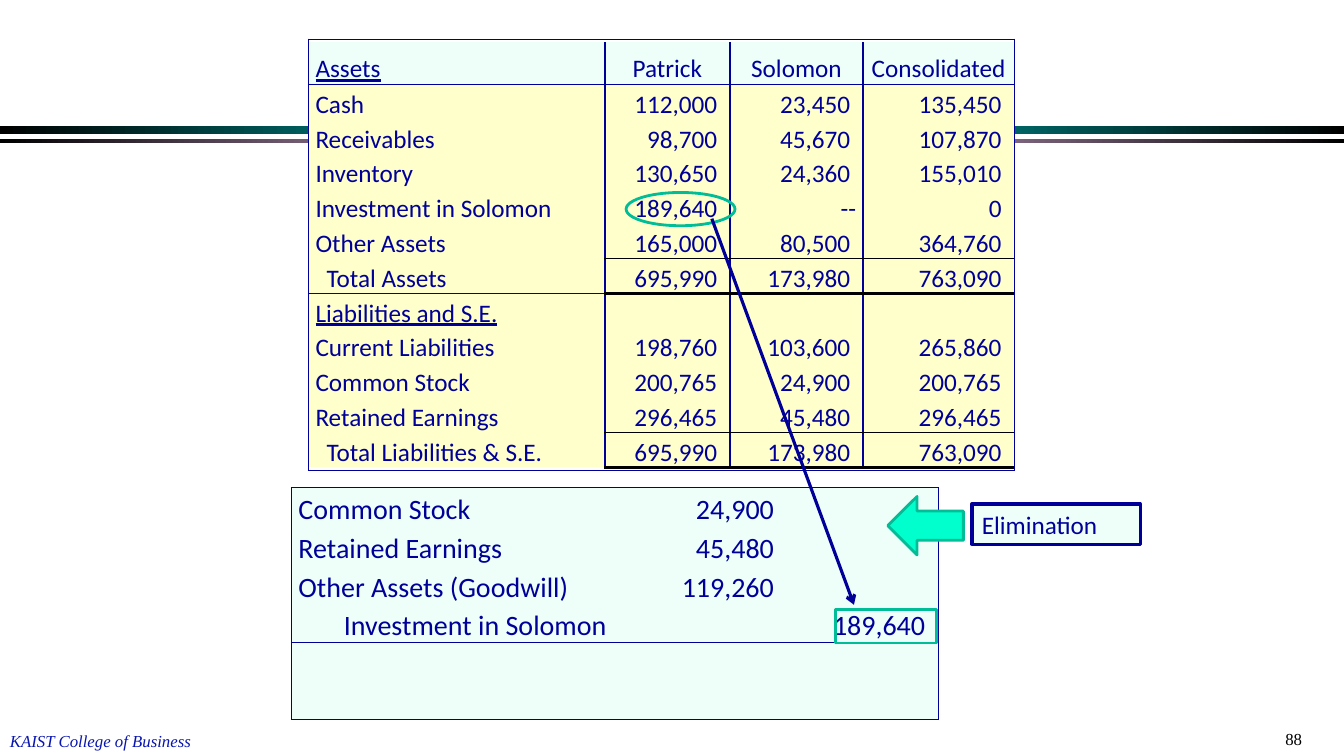
"""Build the slide with the consolidated balance sheet and its elimination entry."""
import copy
from dataclasses import dataclass

import lxml.etree
import pptx
import pptx.dml.color
import pptx.enum.shapes
import pptx.enum.text
import pptx.oxml.ns
import pptx.util

Inches = pptx.util.Inches
Pt = pptx.util.Pt
RGBColor = pptx.dml.color.RGBColor
Align = pptx.enum.text.PP_ALIGN
Shape = pptx.enum.shapes.MSO_SHAPE
qn = pptx.oxml.ns.qn


@dataclass(frozen=True)
class Theme:
    navy: str = "000099"
    black: str = "000000"
    mint: str = "EEFFF9"
    cream: str = "FFFFCC"
    aqua: str = "00FFCC"
    green: str = "00BD97"
    teal: str = "00CCCC"
    pink: str = "FFCCFF"
    footer: str = "0915AF"
    body: str = "Calibri"
    serif: str = "Times New Roman"
    small: int = 12
    medium: int = 18
    large: int = 20


theme = Theme()
NO_STYLE = "{2D5ABB26-0587-4C30-8999-92F81FD0307C}"
THIN = (theme.navy, 1)


def style_text(paragraph, size, color, font):
    for run in paragraph.runs:
        run.font.size = Pt(size)
        run.font.name = font
        run.font.color.rgb = RGBColor.from_string(color)


def add_ledger(box, widths, heights, rows, size, fills, indents, column_edges, rules):
    frame = slide.shapes.add_table(len(rows), len(widths), *map(Inches, box))
    table = frame.table
    table.first_row = table.horz_banding = False
    table._tbl.tblPr.find(qn("a:tableStyleId")).text = NO_STYLE
    for column, width in zip(table.columns, widths):
        column.width = Inches(width)
    for r, (row, values) in enumerate(zip(table.rows, rows)):
        row.height = Inches(heights[r])
        for c, value in enumerate(values):
            cell = table.cell(r, c)
            if fills[r]:
                cell.fill.solid()
                cell.fill.fore_color.rgb = RGBColor.from_string(fills[r])
            else:
                cell.fill.background()
            cell.vertical_anchor = pptx.enum.text.MSO_ANCHOR.BOTTOM
            cell.margin_top = cell.margin_bottom = 0
            cell.margin_left = Inches(0.07 + (indents.get(r, 0) if c == 0 else 0))
            cell.margin_right = Inches(0.07)
            paragraph = cell.text_frame.paragraphs[0]
            paragraph.text = f"{value:,} " if isinstance(value, int) else value
            paragraph.line_spacing = 1.15
            if c:
                paragraph.alignment = Align.RIGHT
            style_text(paragraph, size, theme.navy, theme.body)
            borders = {
                "L": THIN if c in column_edges else None,
                "R": THIN if c + 1 in column_edges else None,
                "T": rules.get((r, c)),
                "B": rules.get((r + 1, c)),
            }
            properties = cell._tc.tcPr
            for side, border in borders.items():
                line = lxml.etree.Element(qn(f"a:ln{side}"))
                if border:
                    line.set("w", str(Pt(border[1])))
                    solid = lxml.etree.SubElement(line, qn("a:solidFill"))
                    lxml.etree.SubElement(solid, qn("a:srgbClr"), val=border[0])
                else:
                    lxml.etree.SubElement(line, qn("a:noFill"))
                properties.insert(len(properties) - 1, line)
    return table


presentation = pptx.Presentation()
presentation.slide_width = Inches(13.33)
presentation.slide_height = Inches(7.5)
slide = presentation.slides.add_slide(presentation.slide_layouts[6])

for top, height, middle_color in ((1.25, 0.08, theme.teal), (1.38, 0.04, theme.pink)):
    band = slide.shapes.add_shape(
        Shape.RECTANGLE, 0, Inches(top), presentation.slide_width, Inches(height))
    band.shadow.inherit = False
    band.line.fill.background()
    band.fill.gradient()
    band.fill.gradient_angle = 0
    stop_list = band._element.spPr.find(".//" + qn("a:gsLst"))
    stop_list.insert(1, copy.deepcopy(stop_list[0]))
    colors = (theme.black, middle_color, theme.black)
    for stop, color, position in zip(band.fill.gradient_stops, colors, (0, 0.5, 1)):
        stop.color.rgb = RGBColor.from_string(color)
        stop.position = position

for text, box, color, italic in (
    ("88", (12.65, 7.18, 0.78, 0.3), theme.black, False),
    ("KAIST College of Business", (0, 7.2, 2.02, 0.3), theme.footer, True),
):
    footer = slide.shapes.add_textbox(*map(Inches, box))
    footer.text_frame.word_wrap = not italic
    footer.text_frame.text = text
    paragraph = footer.text_frame.paragraphs[0]
    style_text(paragraph, theme.small, color, theme.serif)
    paragraph.runs[0].font.italic = italic

balance_rows = [
    ("Assets", "Patrick", "Solomon", "Consolidated"),
    ("Cash", 112000, 23450, 135450),
    ("Receivables", 98700, 45670, 107870),
    ("Inventory", 130650, 24360, 155010),
    ("Investment in Solomon", 189640, "--", 0),
    ("Other Assets", 165000, 80500, 364760),
    ("Total Assets", 695990, 173980, 763090),
    ("Liabilities and S.E.", "", "", ""),
    ("Current Liabilities", 198760, 103600, 265860),
    ("Common Stock", 200765, 24900, 200765),
    ("Retained Earnings", 296465, 45480, 296465),
    ("Total Liabilities & S.E.", 695990, 173980, 763090),
]
balance_rules = {(1, c): THIN for c in range(4)}
balance_rules[7, 0] = THIN
for total_row in (6, 11):
    for c in range(1, 4):
        balance_rules[total_row, c] = (theme.black, 1)
        balance_rules[total_row + 1, c] = (theme.black, 2.25)
balance = add_ledger(
    (3.06, 0.42, 7, 4.21), (2.94, 1.24, 1.32, 1.5), [0.42] + [3.79 / 11] * 11,
    balance_rows, theme.medium, [theme.mint] + [theme.cream] * 11,
    {6: 0.11, 11: 0.11}, range(5), balance_rules)
for heading_row in (0, 7):
    balance.cell(heading_row, 0).text_frame.paragraphs[0].runs[0].font.underline = True
for c in range(1, 4):
    balance.cell(0, c).text_frame.paragraphs[0].alignment = Align.CENTER

entry_rows = [
    ("Common Stock", 24900, ""),
    ("Retained Earnings", 45480, ""),
    ("Other Assets (Goodwill)", 119260, ""),
    ("Investment in Solomon", "", 189640),
    ("", "", ""),
    ("", "", ""),
]
entry_rules = {(edge, c): THIN for edge in (0, 4, 6) for c in range(3)}
add_ledger(
    (2.89, 4.84, 6.42, 2.3), (3.67, 1.25, 1.5), [2.3 / 6] * 6, entry_rows,
    theme.large, [theme.mint] * 6, {3: 0.45}, (0, 3), entry_rules)

add_ledger(
    (3.06, 0.39, 7, 4.28), (7,), (4.28,), [("",)], theme.medium, [None], {},
    (0, 1), {(0, 0): THIN, (1, 0): THIN})

for kind, box, fill, line_color, width, rotation, text in (
    (Shape.RECTANGLE, (9.64, 5, 1.67, 0.4), theme.mint, theme.navy, 2.25, 0, "Elimination"),
    (Shape.DOWN_ARROW, (8.89, 4.84, 0.58, 0.75), theme.aqua, theme.green, 2, 90, ""),
    (Shape.OVAL, (6.21, 1.91, 1.08, 0.33), None, theme.green, 2, 0, ""),
    (Shape.RECTANGLE, (8.29, 6.05, 1, 0.33), None, theme.green, 2, 0, ""),
):
    shape = slide.shapes.add_shape(kind, *map(Inches, box))
    shape.shadow.inherit = False
    shape.rotation = rotation
    shape.line.color.rgb = RGBColor.from_string(line_color)
    shape.line.width = Pt(width)
    if fill:
        shape.fill.solid()
        shape.fill.fore_color.rgb = RGBColor.from_string(fill)
    else:
        shape.fill.background()
    if text:
        shape.text_frame.text = text
        shape.text_frame.vertical_anchor = pptx.enum.text.MSO_ANCHOR.TOP
        shape.text_frame.paragraphs[0].alignment = Align.LEFT
        style_text(shape.text_frame.paragraphs[0], theme.medium, theme.navy, theme.body)

arrow = slide.shapes.add_connector(
    pptx.enum.shapes.MSO_CONNECTOR.STRAIGHT, *map(Inches, (7.06, 2.17, 8.47, 6)))
arrow.line.color.rgb = RGBColor.from_string(theme.navy)
arrow.line.width = Pt(2.25)
lxml.etree.SubElement(arrow.line._get_or_add_ln(), qn("a:tailEnd"), type="arrow")
lxml.etree.SubElement(arrow._element.spPr, qn("a:effectLst"))

presentation.save("out.pptx")
